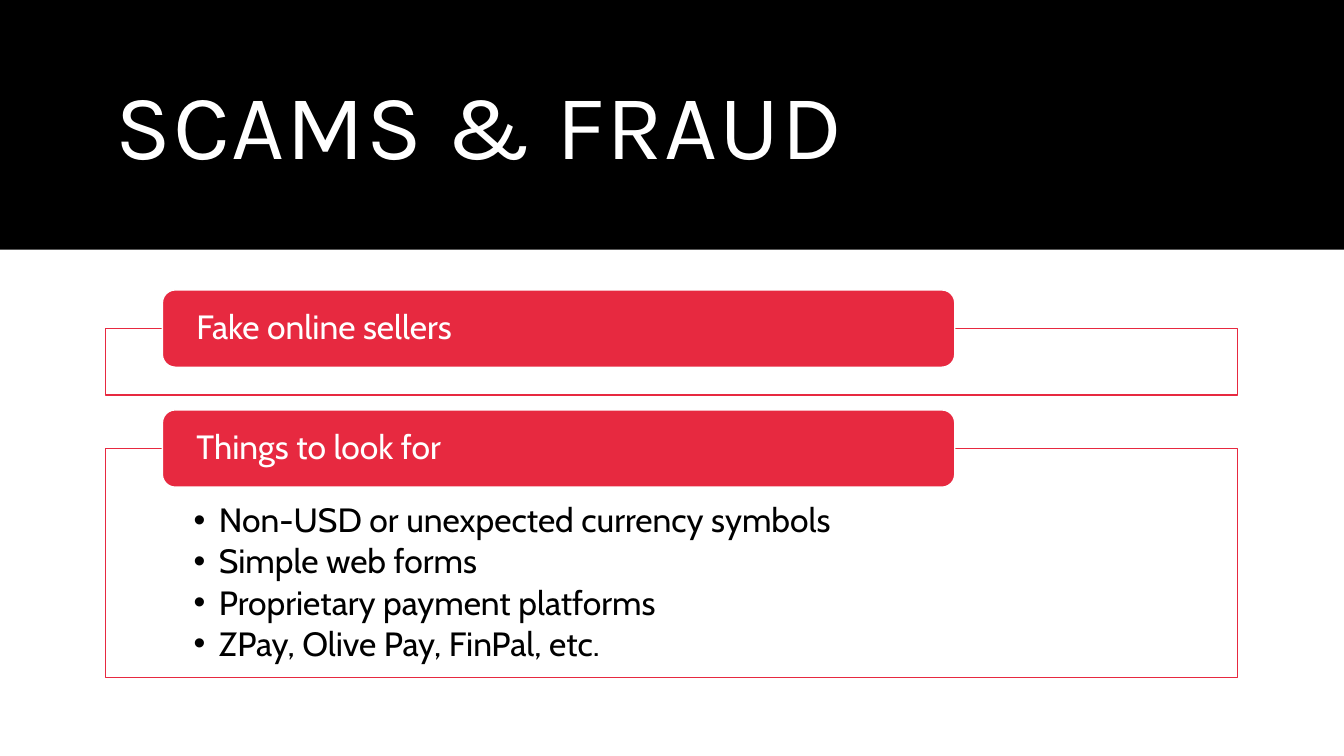
import pptx
import pptx.dml.color
import pptx.enum.shapes
import pptx.enum.text
import pptx.oxml
import pptx.oxml.ns
import pptx.util

Pt = pptx.util.Pt
SHAPE = pptx.enum.shapes.MSO_SHAPE
ANCHOR = pptx.enum.text.MSO_ANCHOR

BLACK, WHITE, RED = "000000", "FFFFFF", "E72940"
MARGIN, PANEL_WIDTH = 75.6, 808.6
LABEL_LEFT, LABEL_WIDTH, LABEL_HEIGHT = 116, 566, 55.2
SECTIONS = [
    (234.7, 47.5, "Fake online sellers", []),
    (320.4, 163.4, "Things to look for", [
        "Non-USD or unexpected currency symbols",
        "Simple web forms",
        "Proprietary payment platforms",
        "ZPay, Olive Pay, FinPal, etc.",
    ]),
]


def color(hex_string):
    return pptx.dml.color.RGBColor.from_string(hex_string)


def add_element(parent, tag, **attributes):
    element = pptx.oxml.parse_xml(f"<a:{tag} {pptx.oxml.ns.nsdecls('a')}/>")
    for name, value in attributes.items():
        element.set(name, value)
    parent.append(element)


def add_box(page, kind, left, top, width, height, fill, line=None):
    box = page.shapes.add_shape(kind, Pt(left), Pt(top), Pt(width), Pt(height))
    box.shadow.inherit = False
    box.fill.solid()
    box.fill.fore_color.rgb = color(fill)
    if line:
        box.line.color.rgb = color(line)
        box.line.width = Pt(1)
    else:
        box.line.fill.background()
    return box


def set_frame(box, anchor, left, top, right, bottom):
    frame = box.text_frame
    frame.word_wrap = True
    frame.auto_size = pptx.enum.text.MSO_AUTO_SIZE.NONE
    frame.vertical_anchor = anchor
    frame.margin_left, frame.margin_top = Pt(left), Pt(top)
    frame.margin_right, frame.margin_bottom = Pt(right), Pt(bottom)
    return frame


def write(para, text, font, size, fill):
    para.alignment = pptx.enum.text.PP_ALIGN.LEFT
    para.line_spacing = 0.9
    span = para.add_run()
    span.text = text
    span.font.name = font
    span.font.size = Pt(size)
    span.font.color.rgb = color(fill)
    return span


def add_bullet(para, indent):
    properties = para._p.get_or_add_pPr()
    properties.set("marL", str(Pt(indent)))
    properties.set("indent", str(-Pt(indent)))
    add_element(properties, "buFont", typeface="Arial")
    add_element(properties, "buChar", char="•")


def add_header(page, text):
    title = page.shapes.title
    band = add_box(page, SHAPE.RECTANGLE, 0, 0, 960, 178.4, BLACK)
    title.element.addprevious(band.element)  # band lies behind the title
    title.left, title.top = Pt(MARGIN), Pt(25.2)
    title.width, title.height = Pt(PANEL_WIDTH), Pt(134)
    frame = set_frame(title, ANCHOR.MIDDLE, 7.2, 3.6, 7.2, 3.6)
    span = write(frame.paragraphs[0], text, "Karla", 66, WHITE)
    span.font._element.set("spc", "120")


def add_section(page, top, height, heading, points):
    # Outlined panel with its bullet points
    panel = add_box(page, SHAPE.RECTANGLE, MARGIN, top, PANEL_WIDTH, height, WHITE, RED)
    add_element(panel.fill.fore_color._xFill.srgbClr, "alpha", val="90000")
    frame = set_frame(panel, ANCHOR.TOP, 62.8, 39.4, 62.8, 13.7)
    for number, point in enumerate(points):
        para = frame.add_paragraph() if number else frame.paragraphs[0]
        write(para, point, "Cabin", 24, BLACK)
        para.space_after = Pt(3.5)
        add_bullet(para, 18)

    # Label across the panel's top edge
    label = add_box(page, SHAPE.ROUNDED_RECTANGLE, LABEL_LEFT, top - LABEL_HEIGHT / 2,
                    LABEL_WIDTH, LABEL_HEIGHT, RED, WHITE)
    frame = set_frame(label, ANCHOR.MIDDLE, 21.6, 0, 21.6, 0)
    write(frame.paragraphs[0], heading, "Cabin", 24, WHITE)


def main():
    deck = pptx.Presentation()
    deck.slide_width, deck.slide_height = Pt(960), Pt(540)
    page = deck.slides.add_slide(deck.slide_layouts[5])
    add_header(page, "SCAMS & FRAUD")
    for section in SECTIONS:
        add_section(page, *section)
    deck.save("out.pptx")


main()
